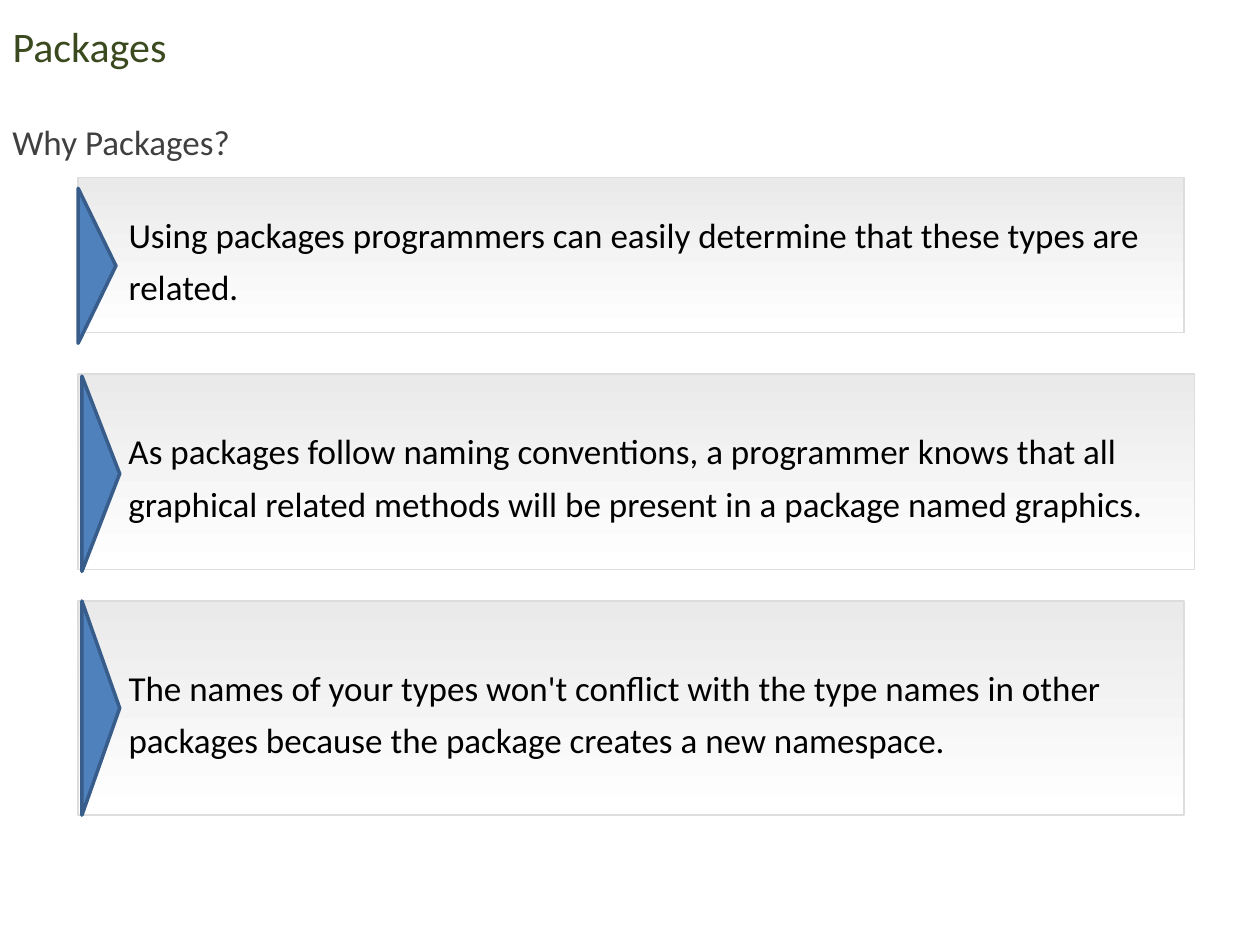
"""Build the slide on the reasons for using packages."""
from pptx import Presentation, util as u
from pptx.dml.color import RGBColor
from pptx.enum import shapes, text

SLIDE_W, SLIDE_H = 10, 7.5
CARD_LEFT, MARKER_DEPTH = 0.62, 0.3


def paint(color_format, hex_color):
    color_format.rgb = RGBColor.from_string(hex_color)


def write(frame, words, size=20, color="000000", spacing=1.0,
          anchor=text.MSO_ANCHOR.MIDDLE, insets=(0.1, 0.05, 0.1, 0.05)):
    frame.word_wrap = True
    frame.auto_size = text.MSO_AUTO_SIZE.NONE
    frame.vertical_anchor = anchor
    (frame.margin_left, frame.margin_top,
     frame.margin_right, frame.margin_bottom) = map(u.Inches, insets)
    paragraph = frame.paragraphs[0]
    paragraph.alignment = text.PP_ALIGN.LEFT
    paragraph.line_spacing = spacing
    run = paragraph.add_run()
    run.text = words
    run.font.name, run.font.size = "Calibri", u.Pt(size)
    paint(run.font.color, color)


deck = Presentation()
deck.slide_width, deck.slide_height = u.Inches(SLIDE_W), u.Inches(SLIDE_H)
slide = deck.slides.add_slide(deck.slide_layouts[5])

heading = slide.shapes.title
heading.left, heading.top = u.Inches(0), u.Inches(0.11)
heading.width, heading.height = u.Inches(0.9 * SLIDE_W), u.Inches(0.5)
write(heading.text_frame, "Packages", size=24, color="3B4A1E")

question = slide.shapes.add_textbox(*map(u.Inches, (0, 0.74, 4.87, 0.6)))
write(question.text_frame, "Why Packages?", color="404040", spacing=1.5,
      anchor=text.MSO_ANCHOR.TOP)

reasons = [
    (1.41, 8.78, 1.23, 0.77, 2.11,
     "Using packages programmers can easily determine that these types are related."),
    (2.97, 8.86, 1.55, 0.8, 3.76,
     "As packages follow naming conventions, a programmer knows that all graphical "
     "related methods will be present in a package named graphics."),
    (4.77, 8.78, 1.7, 0.8, 5.62,
     "The names of your types won't conflict with the type names in other packages "
     "because the package creates a new namespace."),
]
for top, width, height, marker_x, marker_y, reason in reasons:
    group = slide.shapes.add_group_shape()

    card = group.shapes.add_shape(
        shapes.MSO_SHAPE.RECTANGLE, *map(u.Inches, (CARD_LEFT, top, width, height)))
    card.shadow.inherit = False
    card.fill.gradient()
    card.fill.gradient_angle = 270
    for stop, position, shade in zip(card.fill.gradient_stops, (0, 1), ("EAEAEA", "FFFFFF")):
        stop.position = position
        paint(stop.color, shade)
    paint(card.line.color, "DDDDDD")
    card.line.width = u.Pt(1)
    write(card.text_frame, reason, spacing=u.Pt(29.9), insets=(0.4, 0.1, 0.1, 0.1))

    marker = group.shapes.add_shape(
        shapes.MSO_SHAPE.ISOSCELES_TRIANGLE,
        *map(u.Inches, (marker_x - height / 2, marker_y - MARKER_DEPTH / 2,
                        height, MARKER_DEPTH)))
    marker.rotation = 90
    marker.shadow.inherit = False
    marker.fill.solid()
    paint(marker.fill.fore_color, "4F81BD")
    paint(marker.line.color, "385D8A")
    marker.line.width = u.Pt(2)

deck.save("out.pptx")
